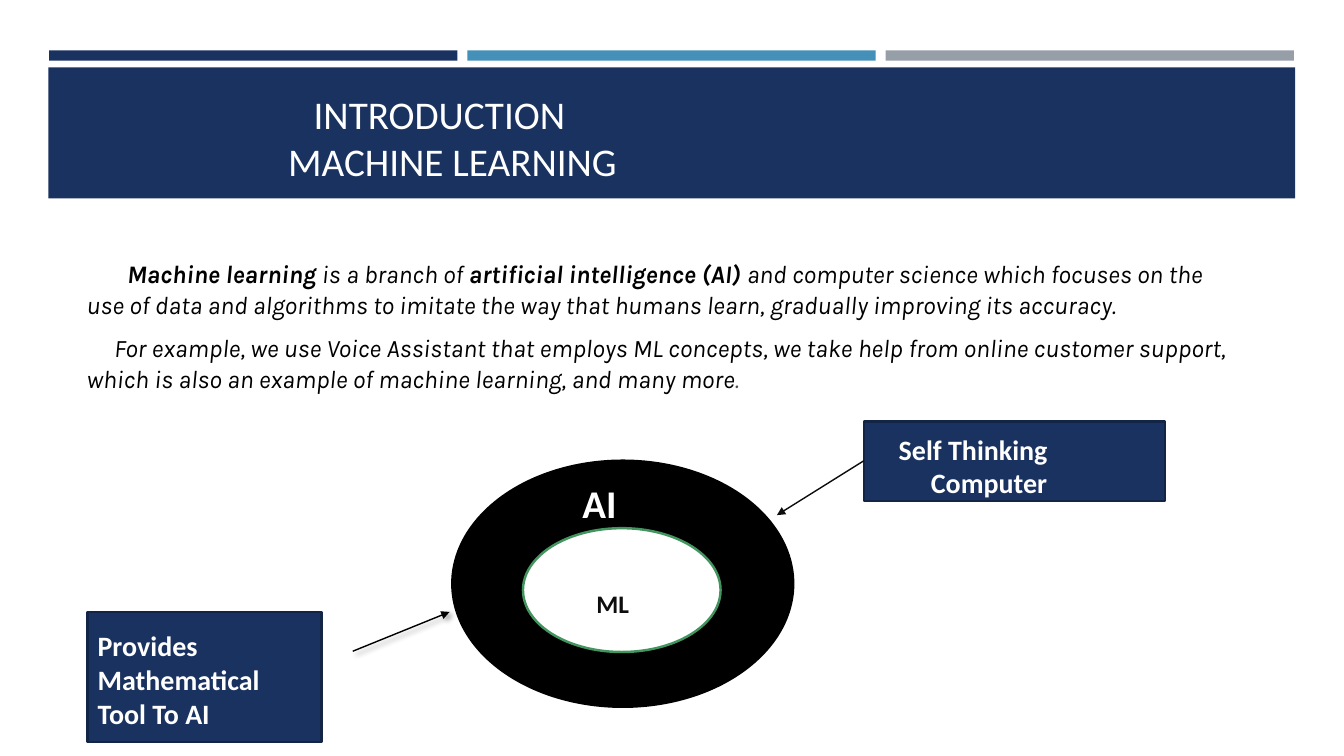
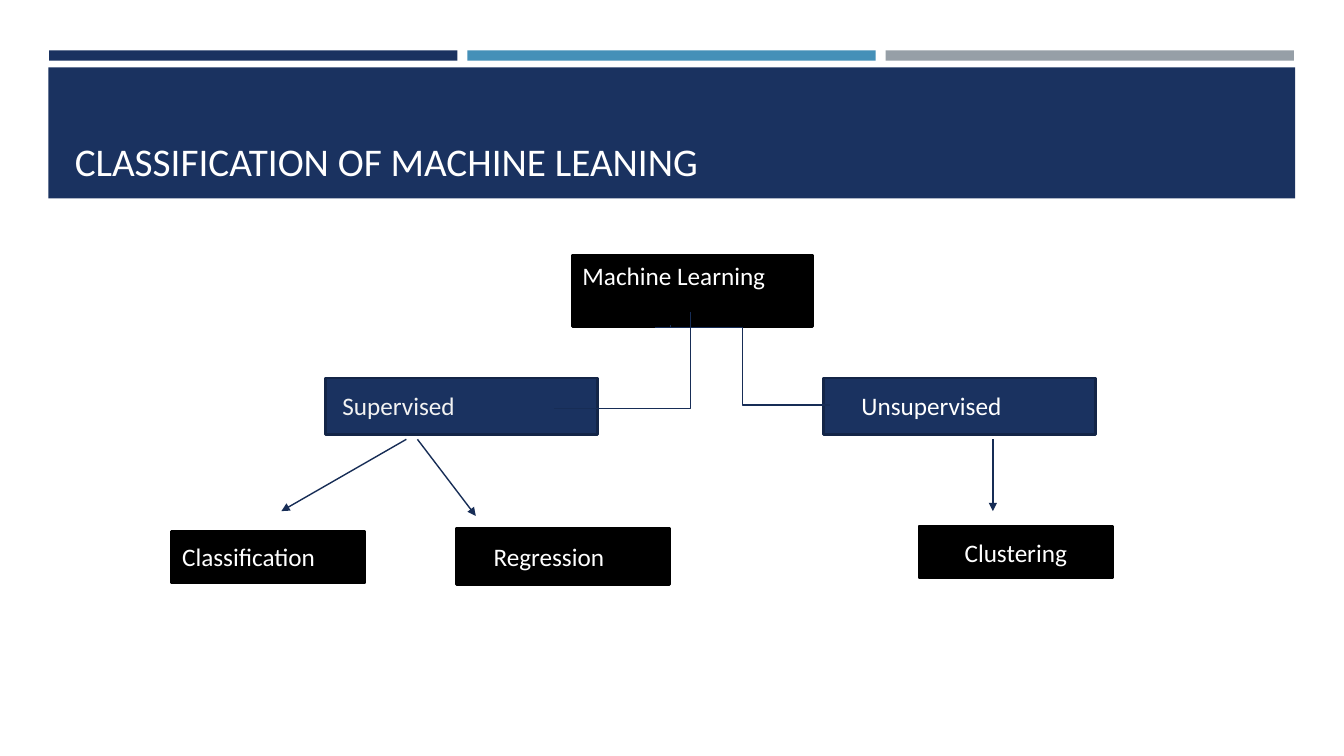
from pptx import Presentation
from pptx.dml.color import RGBColor
from pptx.enum.shapes import MSO_CONNECTOR, MSO_SHAPE
from pptx.enum.text import MSO_ANCHOR, MSO_AUTO_SIZE, PP_ALIGN
from pptx.oxml import parse_xml
from pptx.oxml.ns import nsdecls, qn
from pptx.util import Cm, Pt

COLORS = {
    "navy": "1A3260",
    "navy_edge": "132547",
    "navy_line": "172D56",
    "blue": "4590B8",
    "gray": "969FA7",
    "green": "42955F",
    "black": "000000",
    "ink": "0D0D0D",
    "period": "4D5156",
    "white": "FFFFFF",
    "off_white": "F2F2F2",
}
SHADOW = (
    '<a:outerShdw blurRad="50800" dist="38100" dir="2700000">'
    '<a:srgbClr val="000000"><a:alpha val="40000"/></a:srgbClr></a:outerShdw>'
)


def rgb(name):
    return RGBColor.from_string(COLORS[name])


def add_text(paragraph, text, size=18, color="white", font="Calibri",
             bold=False, italic=False, align=PP_ALIGN.LEFT):
    paragraph.alignment = align
    for number, line in enumerate(text.split("\n")):
        if number:
            paragraph.add_line_break()
        run = paragraph.add_run()
        run.text = line
        run.font.size = Pt(size)
        run.font.name = font
        run.font.bold = bold
        run.font.italic = italic
        run.font.color.rgb = rgb(color)


def set_indent(paragraph, left=0, first=0):
    properties = paragraph._p.get_or_add_pPr()
    properties.set("marL", str(Cm(left)))
    properties.set("indent", str(Cm(first)))
    return properties


def place(shape, left, top, width, height):
    shape.left, shape.top = Cm(left), Cm(top)
    shape.width, shape.height = Cm(width), Cm(height)


def add_box(slide, box, fill, edge=None, kind=MSO_SHAPE.RECTANGLE):
    shape = slide.shapes.add_shape(kind, *map(Cm, box))
    shape.shadow.inherit = False
    shape.fill.solid()
    shape.fill.fore_color.rgb = rgb(fill)
    if edge:
        shape.line.color.rgb = rgb(edge)
        shape.line.width = Pt(1.75)
    else:
        shape.line.fill.background()
    return shape


def add_label(slide, box, lines, indents=(0,), **text_format):
    frame = slide.shapes.add_textbox(*map(Cm, box)).text_frame
    frame.word_wrap = True
    for number, line in enumerate(lines):
        paragraph = frame.add_paragraph() if number else frame.paragraphs[0]
        add_text(paragraph, line, **text_format)
        if number < len(indents) and indents[number]:
            set_indent(paragraph, indents[number])


def add_line(slide, start, end, color="navy_line", arrow=False,
             kind=MSO_CONNECTOR.STRAIGHT, effect=""):
    connector = slide.shapes.add_connector(kind, *map(Cm, start + end))
    connector.line.color.rgb = rgb(color)
    connector.line.width = Pt(1)
    properties = connector.element.find(qn("p:spPr"))
    if arrow:
        properties.find(qn("a:ln")).append(
            parse_xml(f'<a:tailEnd {nsdecls("a")} type="triangle"/>'))
    properties.append(
        parse_xml(f'<a:effectLst {nsdecls("a")}>{effect}</a:effectLst>'))
    return connector


def add_title(slide, text, left=0, first=0):
    title = slide.shapes.title
    place(title, 1.63, 1.96, 30.63, 2.82)
    frame = title.text_frame
    frame.auto_size = MSO_AUTO_SIZE.NONE
    frame.vertical_anchor = MSO_ANCHOR.BOTTOM
    add_text(frame.paragraphs[0], text, size=28)
    set_indent(frame.paragraphs[0], left, first)


def add_master_bands(presentation, slide):
    bands = [add_box(slide, (1.24 + 10.54 * column, 1.27, 10.29, 0.26), color)
             for column, color in enumerate(("navy", "blue", "gray"))]
    bands.append(add_box(slide, (1.22, 1.7, 31.42, 3.3), "navy"))
    tree = presentation.slide_master.shapes.element
    for position, band in enumerate(bands, start=2):
        tree.insert(position, band.element)


def add_body(slide, paragraphs):
    body = slide.placeholders[1]
    place(body, 1.93, 5.56, 29.34, 5.31)
    frame = body.text_frame
    frame.auto_size = MSO_AUTO_SIZE.NONE
    frame.vertical_anchor = MSO_ANCHOR.MIDDLE
    for number, (first, runs) in enumerate(paragraphs):
        paragraph = frame.add_paragraph() if number else frame.paragraphs[0]
        paragraph.space_after = Pt(6)
        for text, color, bold in runs:
            add_text(paragraph, text, color=color, font="Karla",
                     bold=bold, italic=True)
        set_indent(paragraph, first=first).append(
            parse_xml(f'<a:buNone {nsdecls("a")}/>'))


def build_introduction(slide):
    add_title(slide, "INTRODUCTION\nMACHINE LEARNING", left=5.38, first=0.64)
    add_body(slide, [
        (1.02, [
            ("Machine learning ", "black", True),
            ("is\u00a0a branch of ", "black", False),
            ("artificial intelligence (AI) ", "black", True),
            ("and computer science which focuses on the use of data and "
             "algorithms to imitate the way that humans learn, gradually "
             "improving its accuracy.", "black", False),
        ]),
        (0.69, [
            ("For example, we use Voice Assistant that employs ML concepts, "
             "we take help from online customer support, which is also an "
             "example of machine learning, and many more", "black", False),
            (".", "period", False),
        ]),
    ])
    add_box(slide, (11.4, 11.61, 8.59, 6.2), "black", "black", MSO_SHAPE.OVAL)
    add_box(slide, (13.18, 13.31, 4.98, 3.12), "white", "green", MSO_SHAPE.OVAL)
    add_box(slide, (21.77, 10.62, 7.59, 2.01), "navy", "navy_edge")
    add_box(slide, (2.21, 15.42, 5.89, 3.28), "navy", "navy_edge")
    add_line(slide, (21.77, 11.61), (19.58, 12.98), "ink", arrow=True)
    add_line(slide, (8.89, 16.41), (11.33, 15.42), "black", arrow=True,
             effect=SHADOW)
    add_label(slide, (14.78, 14.71, 1.55, 1.02), ["ML"], color="ink", bold=True)
    add_label(slide, (14.43, 11.96, 2.9, 1.45), ["AI"], size=28, bold=True)
    add_label(slide, (21.77, 10.77, 7.59, 1.96), ["Self Thinking", "Computer"],
              indents=(0.63, 1.44), size=20, bold=True)
    add_label(slide, (2.21, 15.72, 5.89, 2.82),
              ["Provides", "Mathematical", "Tool To AI"], size=20, bold=True)


def build_classification(slide):
    add_title(slide, "CLASSIFICATION OF MACHINE LEANING")
    root = add_box(slide, (14.43, 6.43, 6.05, 1.8), "black", "black")
    root.text_frame.vertical_anchor = MSO_ANCHOR.TOP
    add_text(root.text_frame.paragraphs[0], "Machine Learning")
    for left in (20.75, 8.2):
        add_box(slide, (left, 9.53, 6.86, 1.42), "navy", "navy_edge")
    add_label(slide, (8.38, 9.7, 6.45, 1.02), ["Supervised"], color="off_white")
    add_label(slide, (20.75, 9.7, 7.29, 1.8), ["Unsupervised"], indents=(0.71,))
    add_box(slide, (4.32, 13.39, 4.88, 1.3), "black", "black")
    add_box(slide, (11.51, 13.31, 5.36, 1.42), "black", "black")
    clustering = add_box(slide, (23.16, 13.26, 4.88, 1.3), "black", "black")
    clustering.text_frame.vertical_anchor = MSO_ANCHOR.MIDDLE
    add_text(clustering.text_frame.paragraphs[0], "Clustering",
             align=PP_ALIGN.CENTER)
    add_label(slide, (4.34, 13.51, 4.29, 1.02), ["Classification"])
    add_label(slide, (12.19, 13.51, 4.32, 1.02), ["Regression"])
    add_line(slide, (16.87, 8.26), (16.92, 8.2), kind=MSO_CONNECTOR.ELBOW)
    add_line(slide, (16.51, 8.26), (20.93, 10.21), kind=MSO_CONNECTOR.ELBOW)
    supervised_link = add_line(slide, (13.97, 10.29), (17.4, 7.87),
                               kind=MSO_CONNECTOR.ELBOW)
    geometry = supervised_link.element.find(".//" + qn("a:prstGeom"))
    geometry.set("prst", "bentConnector2")
    for start, end in (
        ((10.24, 11.07), (7.09, 12.88)),
        ((10.52, 11.07), (11.99, 13)),
        ((25.02, 11.07), (25.02, 12.88)),
    ):
        add_line(slide, start, end, arrow=True)


def main():
    presentation = Presentation()
    presentation.slide_width = Cm(33.87)
    presentation.slide_height = Cm(19.05)
    layouts = presentation.slide_layouts
    introduction = presentation.slides.add_slide(layouts[1])
    classification = presentation.slides.add_slide(layouts[5])
    add_master_bands(presentation, introduction)
    build_introduction(introduction)
    build_classification(classification)
    presentation.save("out.pptx")


main()
